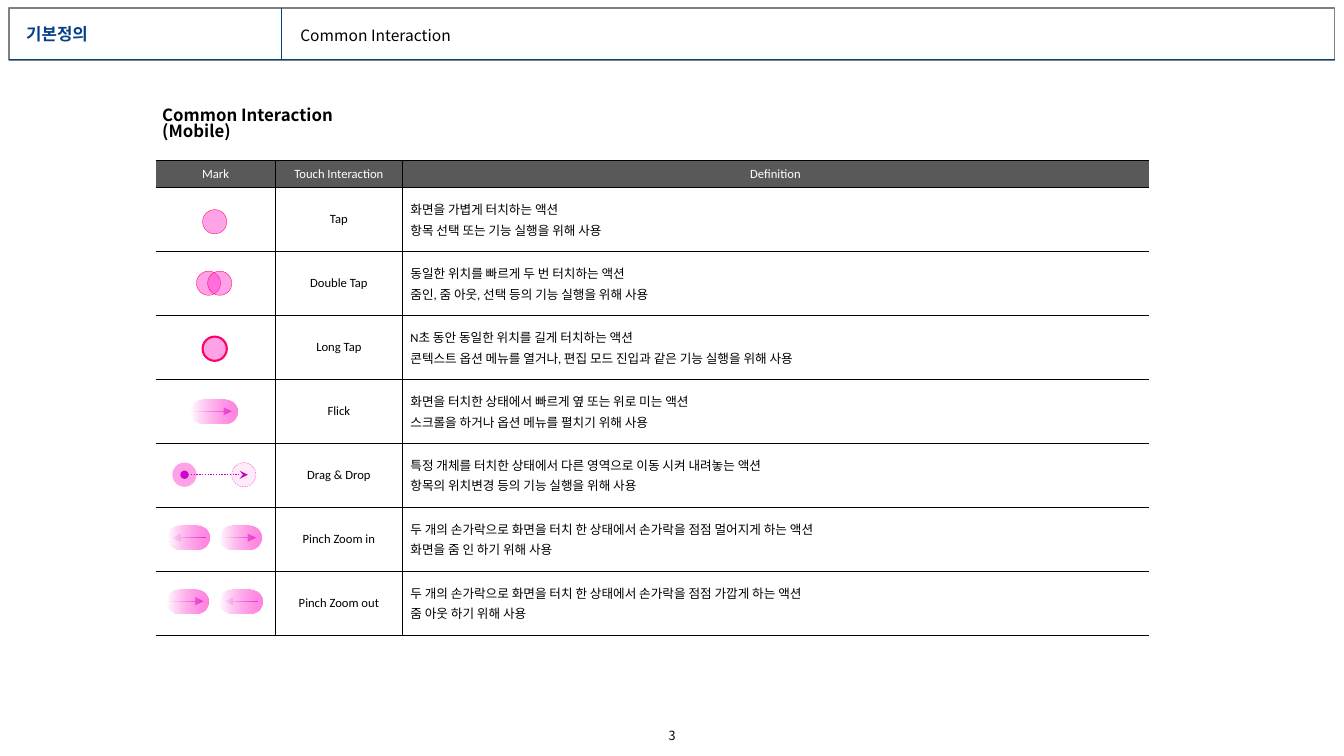
"""Build the touch interaction definition slide."""
from lxml.etree import SubElement
from pptx import Presentation
from pptx.dml.color import RGBColor
from pptx.enum.dml import MSO_LINE
from pptx.enum.shapes import MSO_CONNECTOR, MSO_SHAPE
from pptx.enum.text import MSO_ANCHOR as ANCHOR, PP_ALIGN as ALIGN
from pptx.oxml import parse_xml
from pptx.oxml.ns import nsdecls, qn
from pptx.util import Pt

C = {"navy": "054186", "gray": "808080", "head": "595959", "black": "000000",
     "white": "FFFFFF", "pink": "FF33CC", "rose": "FF0066", "arrow": "CC00CC"}
NOTO, CALIBRI = "Noto Sans CJK KR", "Calibri"

HEADER = ["Mark", "Touch Interaction", "Definition"]
ACTIONS = [
    ("Tap", ["화면을 가볍게 터치하는 액션", "항목 선택 또는 기능 실행을 위해 사용"]),
    ("Double Tap", ["동일한 위치를 빠르게 두 번 터치하는 액션",
                    "줌인, 줌 아웃, 선택 등의 기능 실행을 위해 사용"]),
    ("Long Tap", ["N초 동안 동일한 위치를 길게 터치하는 액션",
                  "콘텍스트 옵션 메뉴를 열거나, 편집 모드 진입과 같은 기능 실행을 위해 사용"]),
    ("Flick", ["화면을 터치한 상태에서 빠르게 옆 또는 위로 미는 액션",
               "스크롤을 하거나 옵션 메뉴를 펼치기 위해 사용"]),
    ("Drag & Drop", ["특정 개체를 터치한 상태에서 다른 영역으로 이동 시켜 내려놓는 액션",
                     "항목의 위치변경 등의 기능 실행을 위해 사용"]),
    ("Pinch Zoom in", ["두 개의 손가락으로 화면을 터치 한 상태에서 손가락을 점점 멀어지게 하는 액션",
                       "화면을 줌 인 하기 위해 사용"]),
    ("Pinch Zoom out", ["두 개의 손가락으로 화면을 터치 한 상태에서 손가락을 점점 가깝게 하는 액션",
                        "줌 아웃 하기 위해 사용"]),
]
COLS = [85.5, 90.7, 533]
TABLE_X, TABLE_Y, HEAD_H, ROW_H = 111.2, 114.5, 19.4, 45.7
DISC = 17.3

# center x, center y, opacity, line colour, line width, dash
DISCS = [
    (153.4, 158.4, 45, "rose", 0.25, None),
    (153.4, 249.1, 46, "rose", 1.5, None),
    (149, 202.3, 46, "rose", 0.25, None),
    (157, 202.3, 46, "rose", 0.25, None),
    (131.8, 339.1, 46, None, 0, None),
    (174.2, 339.1, 10, "pink", 0.25, MSO_LINE.DASH),
]
# left, width, center y, arrow start, arrow end
SWIPES = [
    (136.1, 33.8, 293.8, 138.2, 165.6),
    (119.5, 30.2, 384.1, 146.9, 123.1),
    (157, 29.9, 384.1, 159.1, 182.9),
    (118.8, 30.2, 429.5, 121, 145.4),
    (157, 30.2, 429.5, 184.3, 160.6),
]


def rgb(name):
    return RGBColor.from_string(C[name])


def write(tf, lines, size, font, color="black", bold=False, align=ALIGN.LEFT,
          spacing=None, gap=0):
    for i, text in enumerate(lines):
        p = tf.paragraphs[0] if i == 0 else tf.add_paragraph()
        p.alignment = align
        p.space_before = Pt(gap if i else 0)
        if spacing:
            p.line_spacing = spacing
        r = p.add_run()
        r.text = text
        f = r.font
        f.name, f.size, f.bold = font, Pt(size), bold
        f.color.rgb = rgb(color)
        SubElement(r._r.get_or_add_rPr(), qn("a:ea"), typeface=NOTO)


def text_box(s, x, y, w, h, lines, size, inset=0, anchor=ANCHOR.TOP, **style):
    tf = s.shapes.add_textbox(Pt(x), Pt(y), Pt(w), Pt(h)).text_frame
    tf.word_wrap, tf.vertical_anchor = True, anchor
    tf.margin_left = tf.margin_right = Pt(inset)
    tf.margin_top = tf.margin_bottom = Pt(0)
    write(tf, lines, size, NOTO, **style)


def set_alpha(color_parent, percent):
    color = next(color_parent.iter(qn("a:srgbClr")))
    SubElement(color, qn("a:alpha"), val=str(percent * 1000))


def connect(s, x1, y1, x2, y2, color, dash=None, head=None, tail=None):
    sp = s.shapes.add_connector(MSO_CONNECTOR.STRAIGHT, Pt(x1), Pt(y1), Pt(x2), Pt(y2))
    sp.line.color.rgb, sp.line.width = rgb(color), Pt(1)
    if dash:
        sp.line.dash_style = dash
    ln = sp.line._get_or_add_ln()
    for tag, kind in (("a:headEnd", head), ("a:tailEnd", tail)):
        if kind:
            SubElement(ln, qn(tag), type=kind)
    SubElement(sp._element.spPr, qn("a:effectLst"))


def add_disc(s, cx, cy, alpha, line, width, dash):
    sp = s.shapes.add_shape(MSO_SHAPE.OVAL, Pt(cx - DISC / 2), Pt(cy - DISC / 2),
                            Pt(DISC), Pt(DISC))
    sp.shadow.inherit = False
    sp.fill.solid()
    sp.fill.fore_color.rgb = rgb("pink")
    set_alpha(sp._element.spPr, alpha)
    if line:
        sp.line.color.rgb, sp.line.width = rgb(line), Pt(width)
        if dash:
            sp.line.dash_style = dash
    else:
        sp.line.fill.background()


def add_swipe(s, x, w, cy, start, end):
    connect(s, start, cy, end, cy, "arrow", tail="triangle")
    sp = s.shapes.add_shape(MSO_SHAPE.ROUNDED_RECTANGLE, Pt(x), Pt(cy - DISC / 2),
                            Pt(w), Pt(DISC))
    sp.adjustments[0] = 0.5
    sp.shadow.inherit = False
    sp.line.fill.background()
    sp.fill.gradient()
    sp.fill.gradient_angle = 180
    for stop, name in zip(sp.fill.gradient_stops, ("pink", "white")):
        stop.color.rgb = rgb(name)
    set_alpha(sp._element.spPr, 60)


def format_cell(cell, col, fill, margin_x, margin_y):
    cell.fill.solid()
    cell.fill.fore_color.rgb = rgb(fill)
    cell.vertical_anchor = ANCHOR.MIDDLE
    cell.margin_left = cell.margin_right = Pt(margin_x)
    cell.margin_top = cell.margin_bottom = Pt(margin_y)
    open_side = {0: "L", len(COLS) - 1: "R"}.get(col)
    solid = f'<a:solidFill><a:srgbClr val="{C["black"]}"/></a:solidFill>'
    for i, side in enumerate("LRTB"):
        paint = "<a:noFill/>" if side == open_side else solid
        cell._tc.tcPr.insert(i, parse_xml(
            f'<a:ln{side} {nsdecls("a")} w="{Pt(0.5)}">{paint}</a:ln{side}>'))


def add_action_table(s):
    rows = [[[h] for h in HEADER]] + [[[], [name], lines] for name, lines in ACTIONS]
    heights = [HEAD_H] + [ROW_H] * len(ACTIONS)
    table = s.shapes.add_table(len(rows), len(COLS), Pt(TABLE_X), Pt(TABLE_Y),
                               Pt(sum(COLS)), Pt(sum(heights))).table
    table.first_row = table.horz_banding = False
    for column, width in zip(table.columns, COLS):
        column.width = Pt(width)
    for r, row in enumerate(rows):
        table.rows[r].height = Pt(heights[r])
        for c, lines in enumerate(row):
            cell = table.cell(r, c)
            format_cell(cell, c, *(("white", 5.8, 0) if r else ("head", 2.9, 4.1)))
            write(cell.text_frame, lines, 9, CALIBRI, "black" if r else "white",
                  align=ALIGN.LEFT if r and c == 2 else ALIGN.CENTER, gap=1.5)


def add_header(s):
    frame = s.shapes.add_shape(MSO_SHAPE.RECTANGLE, Pt(6.5), Pt(5.8), Pt(946.8), Pt(37))
    frame.shadow.inherit = False
    frame.fill.background()
    frame.line.color.rgb, frame.line.width = rgb("gray"), Pt(1)
    connect(s, 6.5, 42.6, 953.3, 42.6, "navy")
    connect(s, 200.9, 5.8, 200.9, 42.6, "navy")
    title = s.shapes.title
    title.left, title.top, title.width, title.height = Pt(11.5), Pt(15), Pt(182), Pt(20)
    tf = title.text_frame
    tf.vertical_anchor = ANCHOR.MIDDLE
    tf.margin_top = tf.margin_bottom = Pt(0)
    write(tf, ["기본정의"], 12, NOTO, "navy", True, spacing=0.9)
    text_box(s, 207.4, 17, 551, 18.7, ["Common Interaction"], 11.1, inset=7.2,
             anchor=ANCHOR.MIDDLE, spacing=0.8)


def main():
    prs = Presentation()
    prs.slide_width, prs.slide_height = Pt(960), Pt(540)
    s = prs.slides.add_slide(prs.slide_layouts[5])
    add_header(s)
    text_box(s, 115.9, 77, 172, 29, ["Common Interaction (Mobile)"], 12,
             bold=True, spacing=0.83)
    add_action_table(s)
    for disc in DISCS:
        add_disc(s, *disc)
    connect(s, 131.8, 339.1, 177.1, 339.1, "arrow", MSO_LINE.ROUND_DOT, "oval", "stealth")
    for swipe in SWIPES:
        add_swipe(s, *swipe)
    text_box(s, 468, 519.8, 24, 11, ["3"], 9, align=ALIGN.CENTER)
    prs.save("out.pptx")


if __name__ == "__main__":
    main()
